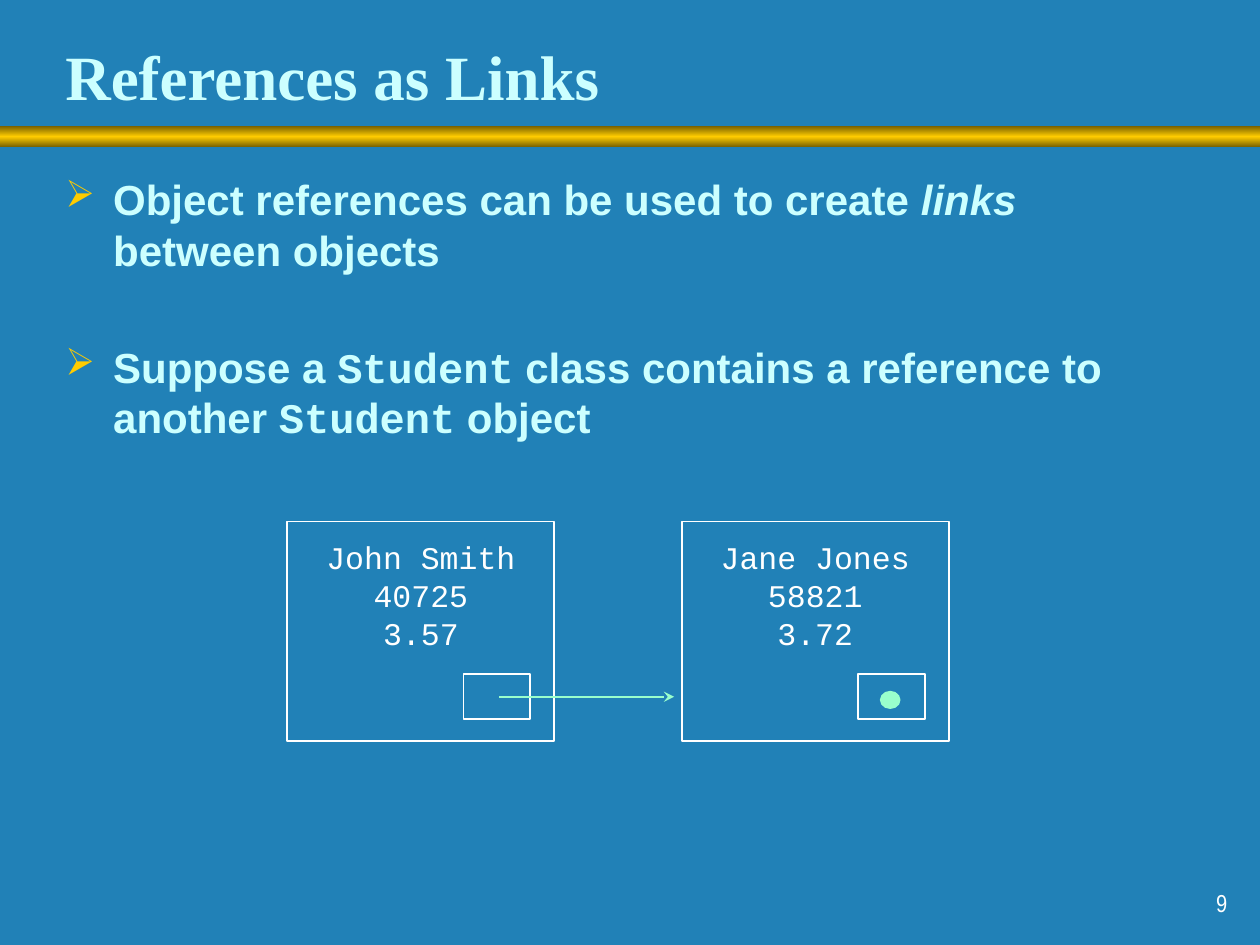
import pptx
import pptx.util
import pptx.dml.color
import pptx.enum.dml
import pptx.enum.shapes
import pptx.enum.text
import pptx.oxml
import pptx.oxml.ns
import dataclasses


@dataclasses.dataclass
class Theme:
    background: str = "2181B7"
    text: str = "CCFFFF"
    white: str = "FFFFFF"
    mint: str = "99FFCC"
    gold: str = "FFCC00"
    bronze: str = "755E00"
    title_size: int = 36
    body_size: int = 24
    record_size: int = 18
    number_size: int = 14


theme = Theme()
Align = pptx.enum.text.PP_ALIGN
Anchor = pptx.enum.text.MSO_ANCHOR
Shape = pptx.enum.shapes.MSO_SHAPE
color = pptx.dml.color.RGBColor.from_string
namespace = pptx.oxml.ns.nsdecls("a")

presentation = pptx.Presentation()
presentation.slide_width = pptx.util.Inches(10)
presentation.slide_height = pptx.util.Inches(7.5)
column = presentation.slide_width / 100
row = presentation.slide_height / 75
slide = presentation.slides.add_slide(presentation.slide_layouts[6])
slide.background.fill.solid()
slide.background.fill.fore_color.rgb = color(theme.background)


def grid(left, top, width, height):
    return [round(n) for n in (left * column, top * row, width * column, height * row)]


def add_run(paragraph, text, hue, **formats):
    run = paragraph.add_run()
    run.text = text
    run.font.color.rgb = color(hue)
    for name, value in formats.items():
        setattr(run.font, name, value)


band = slide.shapes.add_shape(Shape.RECTANGLE, *grid(0, 10, 100, 1.7))
band.shadow.inherit = False
band.line.fill.background()
band.fill.gradient()
band.fill.gradient_angle = 90
stops = band.fill.gradient_stops
for stop, position in zip(stops, (0, 1)):
    stop.color.rgb = color(theme.bronze)
    stop.position = position
stop_list = band._element.spPr.find(".//" + pptx.oxml.ns.qn("a:gsLst"))
stop_list.insert(1, pptx.oxml.parse_xml(
    f'<a:gs {namespace} pos="50000"><a:srgbClr val="{theme.gold}"/></a:gs>'))

title = slide.shapes.add_textbox(*grid(4.2, 2.2, 85.5, 7.5))
title.text_frame.word_wrap = True
title.text_frame.vertical_anchor = Anchor.MIDDLE
add_run(title.text_frame.paragraphs[0], "References as Links", theme.text,
        name="Times New Roman", size=pptx.util.Pt(theme.title_size), bold=True)

bullets = [
    (6, [("Object references can be used to create ", "Arial", False),
         ("links", "Arial", True),
         (" between objects", "Arial", False)]),
    (38, [("Suppose a ", "Arial", False),
          ("Student", "Courier New", False),
          (" class contains a reference to another ", "Arial", False),
          ("Student", "Courier New", False),
          (" object", "Arial", False)]),
]
body = slide.shapes.add_textbox(*grid(4.2, 13.3, 90.8, 53.6))
body.text_frame.word_wrap = True
for index, (space, runs) in enumerate(bullets):
    paragraph = body.text_frame.add_paragraph() if index else body.text_frame.paragraphs[0]
    paragraph.space_before = pptx.util.Pt(space)
    properties = paragraph._p.get_or_add_pPr()
    indent = pptx.util.Inches(0.38)
    properties.set("marL", str(indent))
    properties.set("indent", str(-indent))
    for element in (
        f'<a:buClr {namespace}><a:srgbClr val="{theme.gold}"/></a:buClr>',
        f'<a:buSzPct {namespace} val="90000"/>',
        f'<a:buChar {namespace} char="➢"/>',
    ):
        properties.append(pptx.oxml.parse_xml(element))
    for text, font, italic in runs:
        add_run(paragraph, text, theme.text, name=font, italic=italic,
                size=pptx.util.Pt(theme.body_size), bold=True)

records = [("John Smith", "40725", "3.57"), ("Jane Jones", "58821", "3.72")]
for index, lines in enumerate(records):
    left = 22.8 + 31.3 * index
    record = slide.shapes.add_shape(Shape.RECTANGLE, *grid(left, 41.4, 21.2, 17.4))
    link = slide.shapes.add_shape(Shape.RECTANGLE, *grid(left + 14, 53.5, 5.3, 3.6))
    for box in (record, link):
        box.shadow.inherit = False
        box.fill.background()
        box.line.color.rgb = color(theme.white)
        box.line.width = pptx.util.Pt(1)
    frame = record.text_frame
    frame.word_wrap = False
    frame.vertical_anchor = Anchor.TOP
    frame.margin_top = round(1.3 * row)
    for number, text in enumerate(lines):
        paragraph = frame.add_paragraph() if number else frame.paragraphs[0]
        paragraph.alignment = Align.CENTER
        add_run(paragraph, text, theme.white, name="Courier New",
                size=pptx.util.Pt(theme.record_size))

start_x, start_y, end_x, end_y = grid(39.6, 55.3, 53.5, 55.3)
arrow = slide.shapes.add_connector(
    pptx.enum.shapes.MSO_CONNECTOR.STRAIGHT, start_x, start_y, end_x, end_y)
arrow.line.color.rgb = color(theme.mint)
arrow.line.width = pptx.util.Pt(1)
arrow.line._get_or_add_ln().append(
    pptx.oxml.parse_xml(f'<a:tailEnd {namespace} type="stealth"/>'))
arrow._element.spPr.append(pptx.oxml.parse_xml(f"<a:effectLst {namespace}/>"))

dot = slide.shapes.add_shape(Shape.OVAL, *grid(69.9, 54.9, 1.5, 1.3))
dot.shadow.inherit = False
dot.fill.solid()
dot.fill.fore_color.rgb = color(theme.mint)
dot.line.color.rgb = color(theme.mint)
dot.line.width = pptx.util.Pt(1)

page = slide.shapes.add_textbox(*grid(77.6, 68.3, 20.8, 5))
page.text_frame.word_wrap = True
page.text_frame.vertical_anchor = Anchor.BOTTOM
page.text_frame.paragraphs[0].alignment = Align.RIGHT
add_run(page.text_frame.paragraphs[0], "9", theme.white,
        name="Arial Narrow", size=pptx.util.Pt(theme.number_size))

presentation.save("out.pptx")
